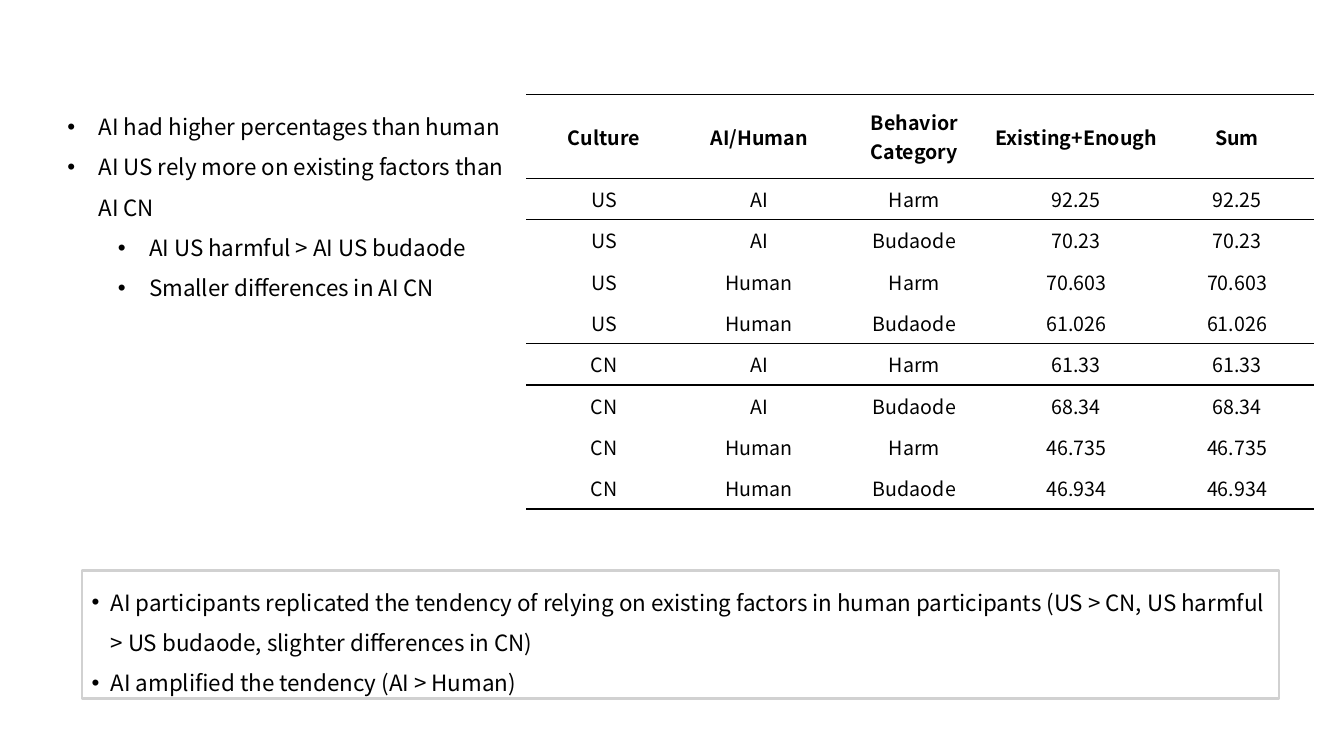
from lxml.etree import SubElement
from pptx import Presentation
from pptx.dml.color import RGBColor
from pptx.enum.shapes import MSO_SHAPE
from pptx.enum.text import MSO_ANCHOR, MSO_AUTO_SIZE, PP_ALIGN
from pptx.oxml.ns import qn
from pptx.util import Pt

PX = 9144
FONT = "Noto Sans CJK SC"
PLAIN_TABLE = "{2D5ABB26-0587-4C30-8999-92F81FD0307C}"
COLORS = {"text": "000000", "rule": "000000", "paper": "FFFFFF", "frame": "D1D1D1"}

FINDINGS = [
    ("AI had higher percentages than human", 0),
    ("AI US rely more on existing factors than AI CN", 0),
    ("AI US harmful > AI US budaode", 1),
    ("Smaller differences in AI CN", 1),
]
CONCLUSIONS = [
    ("AI participants replicated the tendency of relying on existing factors in human "
     "participants (US > CN, US harmful > US budaode, slighter differences in CN)", 0),
    ("AI amplified the tendency (AI > Human)", 0),
]
HEADER = ["Culture", "AI/Human", "Behavior\nCategory", "Existing+Enough", "Sum"]
RESULTS = [
    ("US", "AI", "Harm", "92.25"),
    ("US", "AI", "Budaode", "70.23"),
    ("US", "Human", "Harm", "70.603"),
    ("US", "Human", "Budaode", "61.026"),
    ("CN", "AI", "Harm", "61.33"),
    ("CN", "AI", "Budaode", "68.34"),
    ("CN", "Human", "Harm", "46.735"),
    ("CN", "Human", "Budaode", "46.934"),
]
COLUMN_WIDTHS = [154, 154, 154, 167, 152]
HEADER_HEIGHT = 83
ROW_HEIGHT = 41
RULES = {
    0: {"lnT": 0.5, "lnB": 0.5},
    1: {"lnT": 0.5},
    4: {"lnB": 1},
    5: {"lnT": 1},
    8: {"lnB": 1},
}


def color(name):
    """Return the named colour."""
    return RGBColor.from_string(COLORS[name])


def px(*lengths):
    """Turn pixel lengths into EMU."""
    return [length * PX for length in lengths]


def format_spans(para, size, bold=False):
    """Set the font of every run in a paragraph."""
    for span in para.runs:
        span.font.name = FONT
        span.font.size = Pt(size)
        span.font.bold = bold
        span.font.color.rgb = color("text")


def add_bullet(para, indent, hang):
    """Give a paragraph a hanging round bullet."""
    properties = para._p.get_or_add_pPr()
    properties.set("marL", str(indent * PX))
    properties.set("indent", str(-hang * PX))
    SubElement(properties, qn("a:buFont"), typeface="Arial")
    SubElement(properties, qn("a:buChar"), char="•")


def fill_bullets(box, items, hang):
    """Write bulleted paragraphs into a box."""
    frame = box.text_frame
    frame.word_wrap = True
    frame.auto_size = MSO_AUTO_SIZE.SHAPE_TO_FIT_TEXT
    frame.vertical_anchor = MSO_ANCHOR.TOP
    frame.text = "\n".join(text for text, level in items)
    for para, (text, level) in zip(frame.paragraphs, items):
        para.level = level
        para.alignment = PP_ALIGN.LEFT
        para.line_spacing = 1.5
        add_bullet(para, hang + 50 * level, hang)
        format_spans(para, 16)


def add_findings(page):
    """Add the bulleted findings beside the table."""
    box = page.shapes.add_textbox(*px(57, 94, 465, 248))
    fill_bullets(box, FINDINGS, 31)


def add_conclusions(page):
    """Add the framed conclusions."""
    box = page.shapes.add_shape(MSO_SHAPE.RECTANGLE, *px(81, 566, 1188, 127))
    box.shadow.inherit = False
    box.fill.solid()
    box.fill.fore_color.rgb = color("paper")
    box.line.color.rgb = color("frame")
    box.line.width = Pt(1.5)
    fill_bullets(box, CONCLUSIONS, 19)


def add_rule(cell, side, width):
    """Draw one border of a cell."""
    properties = cell._tc.get_or_add_tcPr()
    line = SubElement(properties, qn(f"a:{side}"), w=str(Pt(width)))
    fill = SubElement(line, qn("a:solidFill"))
    SubElement(fill, qn("a:srgbClr"), val=COLORS["rule"])


def fill_cell(cell, text, bold, rules):
    """Write and format one table cell."""
    cell.text = text
    cell.vertical_anchor = MSO_ANCHOR.MIDDLE
    cell.margin_left = cell.margin_right = cell.margin_top = cell.margin_bottom = 0
    for para in cell.text_frame.paragraphs:
        para.alignment = PP_ALIGN.CENTER
        format_spans(para, 14, bold)
    for side, width in rules.items():
        add_rule(cell, side, width)
    cell.fill.background()


def add_results(page):
    """Add the table of results."""
    rows = [HEADER] + [[*result, result[-1]] for result in RESULTS]
    height = HEADER_HEIGHT + ROW_HEIGHT * len(RESULTS)
    frame = page.shapes.add_table(
        len(rows), len(HEADER), *px(522, 94, sum(COLUMN_WIDTHS), height))
    table = frame.table
    table.first_row = table.horz_banding = False
    table._tbl.tblPr.find(qn("a:tableStyleId")).text = PLAIN_TABLE
    for column, width in zip(table.columns, COLUMN_WIDTHS):
        column.width = width * PX
    for index, values in enumerate(rows):
        table.rows[index].height = (ROW_HEIGHT if index else HEADER_HEIGHT) * PX
        for cell, value in zip(table.rows[index].cells, values):
            fill_cell(cell, value, index == 0, RULES.get(index, {}))


def main():
    """Build the slide and save the deck."""
    deck = Presentation()
    deck.slide_width, deck.slide_height = px(1333, 750)
    page = deck.slides.add_slide(deck.slide_layouts[6])
    add_findings(page)
    add_results(page)
    add_conclusions(page)
    deck.save("out.pptx")


if __name__ == "__main__":
    main()
